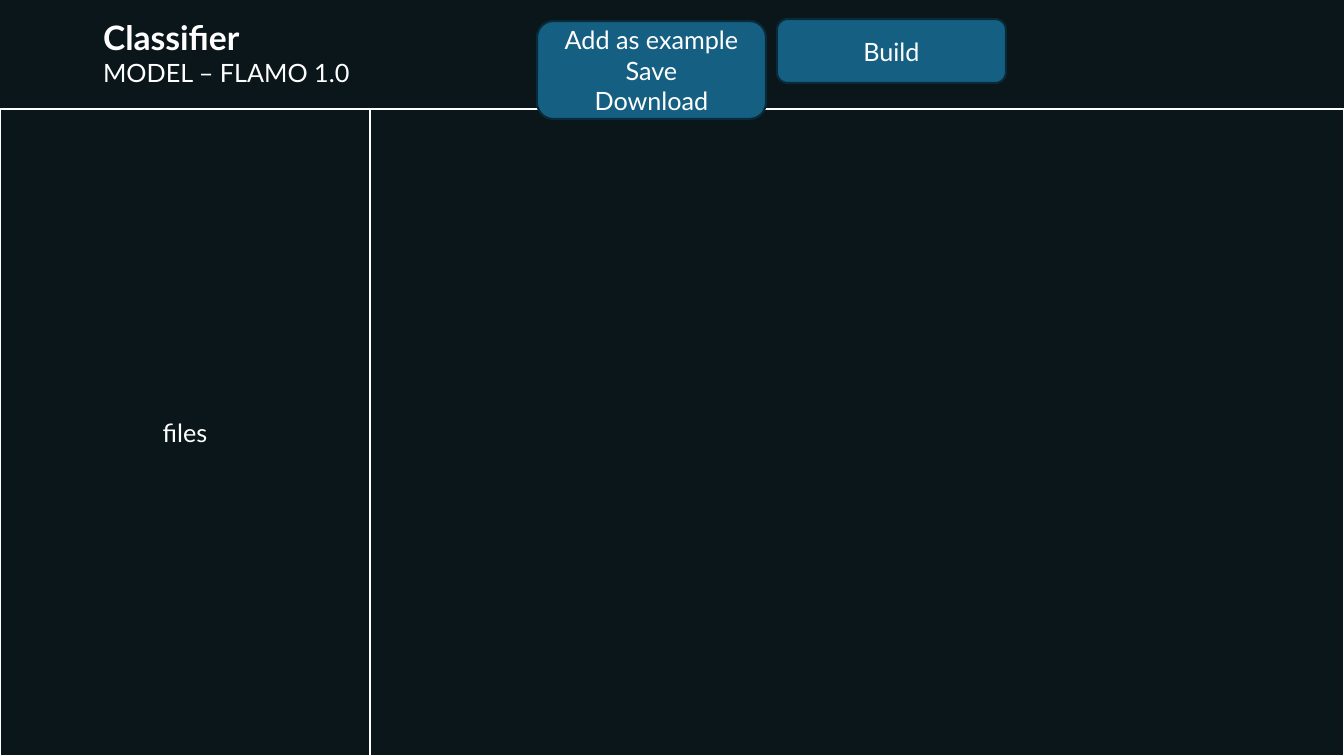
"""Build the classifier screen mock-up slide."""
import pptx
import pptx.util
import pptx.dml.color
import pptx.enum.shapes
import pptx.enum.text

W, H = 1344, 756
HEADER_H, FILES_W = 109, 370
DARK, WHITE, BLUE, NAVY = "0A161A", "FFFFFF", "156082", "092A39"
MSO = pptx.enum.shapes.MSO_SHAPE
ALIGN = pptx.enum.text.PP_ALIGN
ANCHOR = pptx.enum.text.MSO_ANCHOR


def px(*lengths):
    return [pptx.util.Emu(round(n * 914400 / 100.8)) for n in lengths]


def paint(color_format, hex_color):
    color_format.rgb = pptx.dml.color.RGBColor.from_string(hex_color)


prs = pptx.Presentation()
prs.slide_width, prs.slide_height = px(W, H)
s = prs.slides.add_slide(prs.slide_layouts[5])
s.background.fill.solid()
paint(s.background.fill.fore_color, DARK)

title = s.shapes.title
title.left, title.top, title.width, title.height = px(93, 12, 672, 82)
tf = title.text_frame
tf.vertical_anchor = ANCHOR.TOP
tf.auto_size = pptx.enum.text.MSO_AUTO_SIZE.NONE
tf.text = "Classifier\nMODEL – FLAMO 1.0"
title_formats = [{"size": pptx.util.Pt(24), "bold": True},
                 {"size": pptx.util.Pt(18), "bold": False}]
for p, formats in zip(tf.paragraphs, title_formats):
    p.alignment = ALIGN.LEFT
    r = p.runs[0]
    for name, value in {"name": "Lato", **formats}.items():
        setattr(r.font, name, value)
    paint(r.font.color, WHITE)

boxes = [
    (MSO.RECTANGLE, (0, HEADER_H, FILES_W, H - HEADER_H), DARK, WHITE, "files"),
    (MSO.RECTANGLE, (FILES_W, HEADER_H, W - FILES_W, H - HEADER_H), DARK, WHITE, ""),
    (MSO.ROUNDED_RECTANGLE, (537, 21, 229, 98), BLUE, NAVY, "Add as example\nSave\nDownload"),
    (MSO.ROUNDED_RECTANGLE, (777, 19, 229, 64), BLUE, NAVY, "Build"),
]
for kind, place, fill, line, text in boxes:
    sp = s.shapes.add_shape(kind, *px(*place))
    sp.shadow.inherit = False
    sp.fill.solid()
    paint(sp.fill.fore_color, fill)
    paint(sp.line.color, line)
    sp.line.width = pptx.util.Pt(1.5)
    if not text:
        continue
    tf = sp.text_frame
    tf.word_wrap = True
    tf.vertical_anchor = ANCHOR.MIDDLE
    tf.text = text
    for p in tf.paragraphs:
        p.alignment = ALIGN.CENTER
        r = p.runs[0]
        for name, value in {"name": "Lato", "size": pptx.util.Pt(18)}.items():
            setattr(r.font, name, value)
        paint(r.font.color, WHITE)

prs.save("out.pptx")
